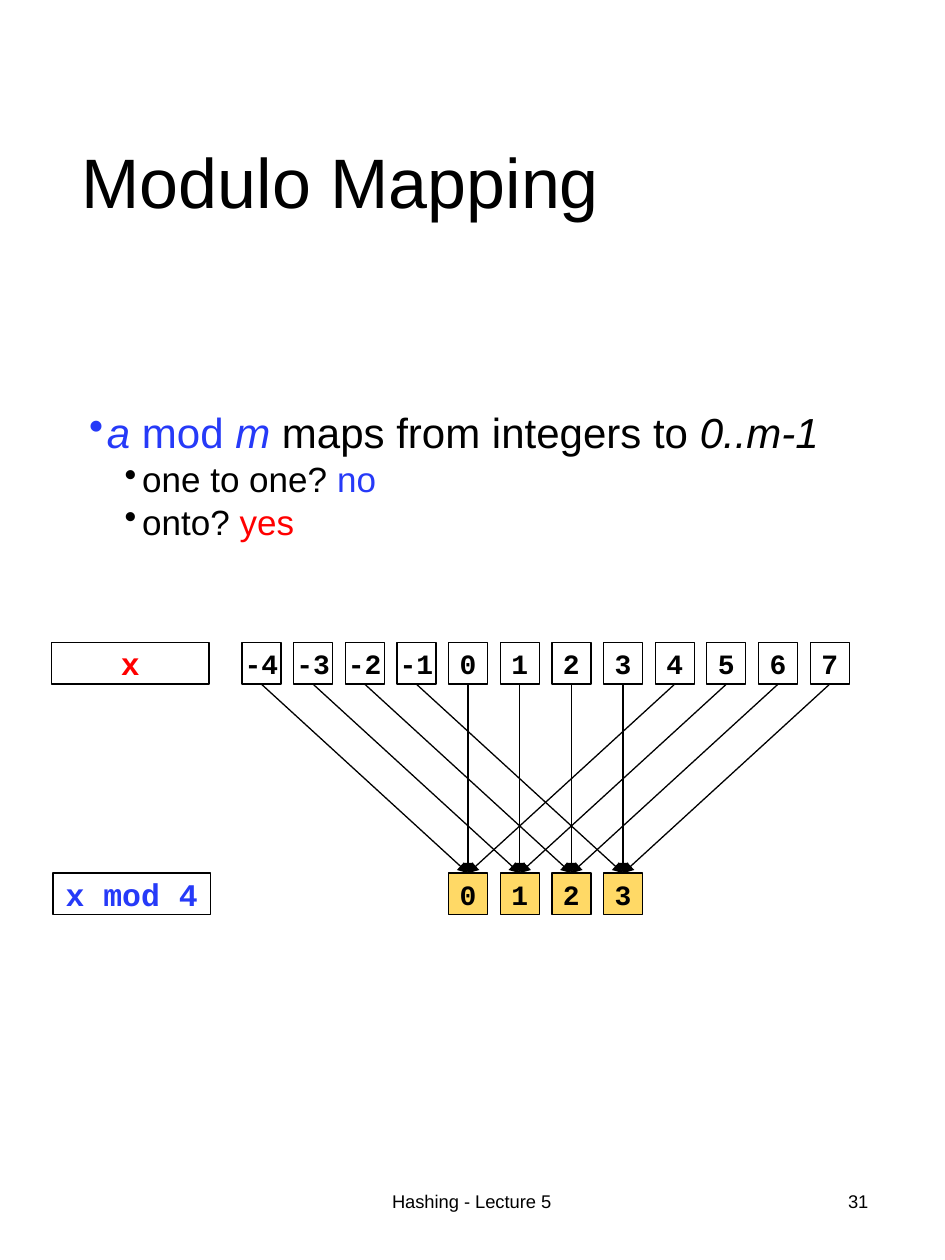
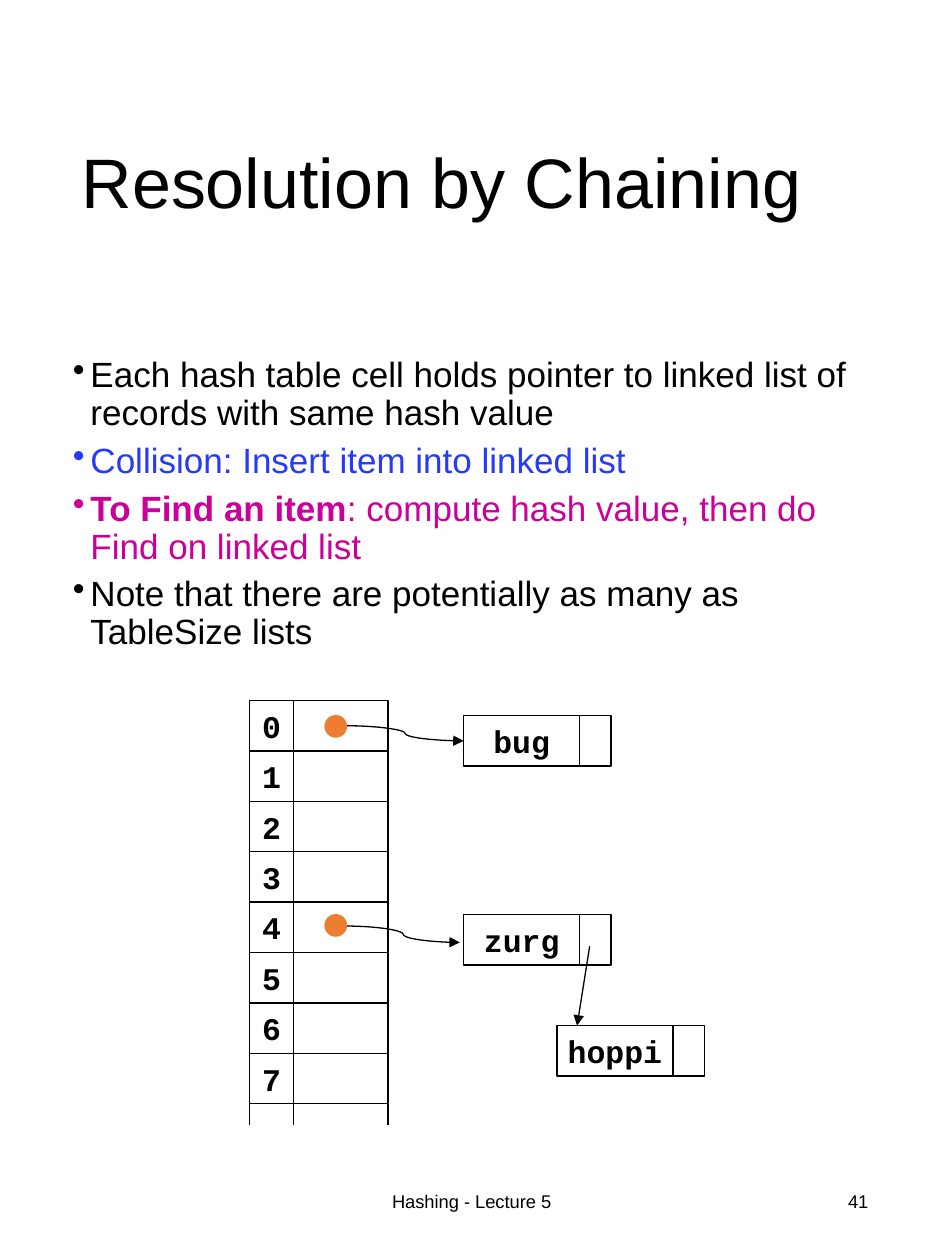
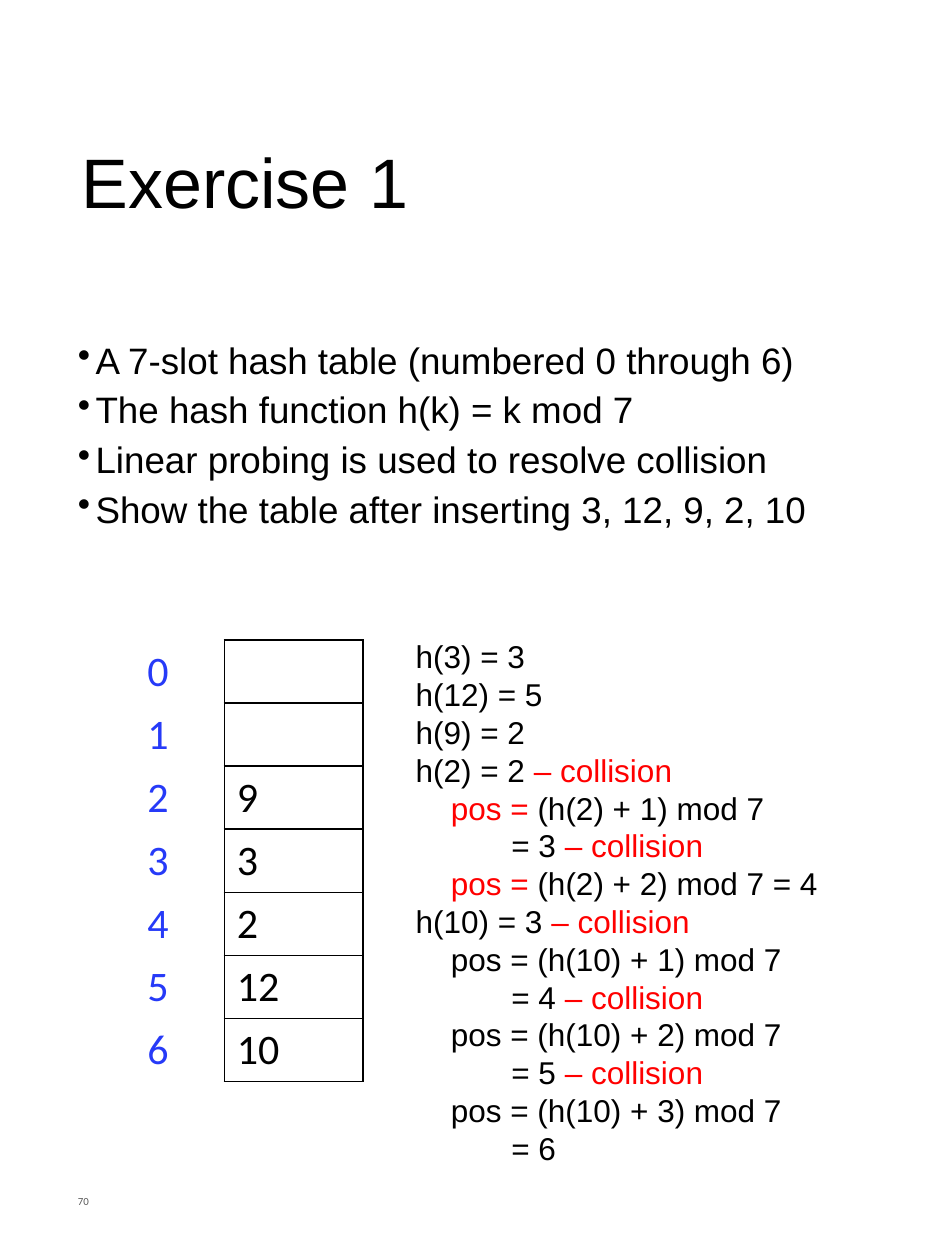
from dataclasses import dataclass

from lxml import etree
from pptx import Presentation
from pptx.dml.color import RGBColor
from pptx.enum.shapes import MSO_CONNECTOR, MSO_SHAPE
from pptx.enum.text import MSO_ANCHOR, MSO_AUTO_SIZE, PP_ALIGN
from pptx.oxml.ns import qn
from pptx.util import Pt

RECT, OVAL = MSO_SHAPE.RECTANGLE, MSO_SHAPE.OVAL
LINE, CURVE = MSO_CONNECTOR.STRAIGHT, MSO_CONNECTOR.CURVE
LEFT, MID, RIGHT = PP_ALIGN.LEFT, PP_ALIGN.CENTER, PP_ALIGN.RIGHT
TOP, CENTER = MSO_ANCHOR.TOP, MSO_ANCHOR.MIDDLE
GROW = MSO_AUTO_SIZE.SHAPE_TO_FIT_TEXT
SCALE = 9144


@dataclass(frozen=True)
class Theme:
    black: RGBColor = RGBColor(0x00, 0x00, 0x00)
    blue: RGBColor = RGBColor(0x26, 0x3A, 0xF8)
    red: RGBColor = RGBColor(0xFF, 0x00, 0x00)
    pink: RGBColor = RGBColor(0xCC, 0x00, 0x99)
    gold: RGBColor = RGBColor(0xFF, 0xD9, 0x66)
    orange: RGBColor = RGBColor(0xED, 0x7D, 0x31)
    gray: RGBColor = RGBColor(0x59, 0x59, 0x59)
    sans: str = "Arial"
    mono: str = "Courier New"
    grid: str = "Calibri"
    title: float = 40
    lead: float = 24
    task: float = 21
    body: float = 20
    note: float = 18
    small: float = 16
    foot: float = 10.5
    tiny: float = 6.2
    rule: float = 0.75


def px(n):
    return int(n * SCALE)


class Deck:
    def __init__(self, theme):
        self.theme = theme
        self.show = Presentation()
        self.show.slide_width, self.show.slide_height = px(750), px(1000)
        self.slide = None

    def page(self, title):
        self.slide = self.show.slides.add_slide(self.show.slide_layouts[6])
        para = self.text((55, 51, 647, 193), title, self.theme.title, anchor=CENTER)
        para.line_spacing = 0.9

    def font(self, run, size, face, color=None, style=""):
        font = run.font
        font.size, font.name = Pt(size), face
        font.color.rgb = color or self.theme.black
        font.bold, font.italic = "b" in style, "i" in style

    def frame(self, box, anchor=TOP):
        frame = self.slide.shapes.add_textbox(*map(px, box)).text_frame
        frame.word_wrap, frame.vertical_anchor = True, anchor
        return frame

    def text(self, box, words, size, align=LEFT, face=None, color=None, anchor=TOP):
        para = self.frame(box, anchor).paragraphs[0]
        para.text, para.alignment = words, align
        self.font(para.runs[0], size, face or self.theme.sans, color)
        return para

    def footer(self, number):
        size = self.theme.foot
        self.text((248, 927, 253, 53), "Hashing - Lecture 5", size, MID, anchor=CENTER)
        self.text((530, 927, 169, 53), number, size, RIGHT, anchor=CENTER)

    def lines(self, frame, rows, size):
        for i, runs in enumerate(rows):
            para = frame.add_paragraph() if i else frame.paragraphs[0]
            for words, *look in runs:
                run = para.add_run()
                run.text = words
                self.font(run, size, self.theme.sans, *look)
            yield para

    def bullets(self, box, rows, size, sub=()):
        frame = self.frame(box)
        paras = list(self.lines(frame, rows, size))
        for i, para in enumerate(paras):
            deep = i in sub
            prop = para._p.get_or_add_pPr()
            prop.set("marL", str(px(42 if deep else 14)))
            prop.set("indent", str(px(-14)))
            etree.SubElement(prop, qn("a:buChar")).set("char", "•")
            para.level, para.line_spacing = int(deep), 0.9
            if i:
                para.space_before = Pt(2.8 if deep else 5.7)
            if deep:
                for run in para.runs:
                    run.font.size = Pt(self.theme.body)

    def steps(self, box, rows):
        frame = self.frame(box)
        frame.auto_size = GROW
        paras = self.lines(frame, [runs for _, runs in rows], self.theme.note)
        for para, (inset, _) in zip(paras, rows):
            para._p.get_or_add_pPr().set("marL", str(px(inset)))

    def shape(self, kind, box, fill=None, edge=None):
        shape = self.slide.shapes.add_shape(kind, *map(px, box))
        shape.shadow.inherit = False
        if fill:
            shape.fill.solid()
            shape.fill.fore_color.rgb = fill
        else:
            shape.fill.background()
        shape.line.color.rgb = edge or self.theme.black
        shape.line.width = Pt(self.theme.rule)
        return shape

    def cell(self, box, words="", size=18, fill=None, color=None):
        shape = self.shape(RECT, box, fill)
        if words:
            frame = shape.text_frame
            frame.text, frame.word_wrap = words, False
            frame.vertical_anchor = CENTER
            para = frame.paragraphs[0]
            para.alignment = MID
            self.font(para.runs[0], size, self.theme.mono, color, "b")
        return shape

    def dot(self, x, y):
        self.shape(OVAL, (x, y, 17, 17), self.theme.orange, self.theme.orange)

    def link(self, start, end, kind=LINE, arrow=True):
        link = self.slide.shapes.add_connector(kind, *map(px, (*start, *end)))
        link.line.color.rgb = self.theme.black
        link.line.width = Pt(self.theme.rule)
        prop = link.element.spPr
        if arrow:
            etree.SubElement(prop.find(qn("a:ln")), qn("a:tailEnd")).set("type", "triangle")
        etree.SubElement(prop, qn("a:effectLst"))
        return link

    def join(self, top, low):
        link = self.link((0, 0), (1, 1))
        link.begin_connect(top, 2)
        link.end_connect(low, 0)

    def border(self, cell, sides):
        prop = cell._tc.get_or_add_tcPr()
        for side in sides:
            line = etree.SubElement(prop, qn("a:ln" + side), w=str(Pt(1)))
            fill = etree.SubElement(line, qn("a:solidFill"))
            etree.SubElement(fill, qn("a:srgbClr")).set("val", str(self.theme.black))

    def table(self, box, widths, rows):
        shape = self.slide.shapes.add_table(len(rows), len(widths), *map(px, box))
        table = shape.table
        table.first_row = table.horz_banding = False
        for col, width in zip(table.columns, widths):
            col.width = px(width)
        looks = ((self.theme.blue, "R"), (self.theme.black, "LRTB"))
        for r, row in enumerate(rows):
            for c, (words, (color, sides)) in enumerate(zip(row, looks)):
                cell = table.cell(r, c)
                self.border(cell, sides)
                cell.fill.background()
                cell.text = words
                for run in cell.text_frame.paragraphs[0].runs:
                    self.font(run, self.theme.lead, self.theme.grid, color)


def modulo(deck):
    t = deck.theme
    deck.page("Modulo Mapping")
    deck.footer("31")
    deck.bullets((61, 322, 638, 144), [
        [("a", t.blue, "i"), (" mod ", t.blue), ("m ", t.blue, "i"),
         ("maps from integers to ",), ("0..m-1", t.black, "i")],
        [("one to one? ",), ("no", t.blue)],
        [("onto? ",), ("yes", t.red)],
    ], t.lead, sub=(1, 2))

    def number(n, y, fill=None):
        return deck.cell((356 + 41 * n, y, 31, 33), str(n), t.small, fill)

    keys = {n: number(n, 510) for n in range(-4, 8)}
    slots = [number(n, 693, t.gold) for n in range(4)]
    deck.cell((41, 510, 125, 33), "x", t.note, color=t.red)
    deck.cell((42, 693, 125, 33), "x mod 4", t.note, color=t.blue)
    for n, key in keys.items():
        deck.join(key, slots[n % 4])


def chaining(deck):
    t = deck.theme
    deck.page("Resolution by Chaining")
    deck.footer("41")
    deck.bullets((48, 279, 657, 417), [
        [("Each hash table cell holds pointer to linked list of records with same hash value",)],
        [("Collision: Insert item into linked list", t.blue)],
        [("To Find an item", t.pink, "b"),
         (": compute hash value, then do Find on linked list", t.pink)],
        [("Note that there are potentially as many as TableSize lists",)],
    ], t.body)

    for n in range(8):
        y = 556 + 40 * n
        deck.cell((198, y, 35, 40), str(n), t.note)
        deck.cell((233, y, 75, 40))
    for x in (198, 233, 308):
        deck.link((x, 876), (x, 893), arrow=False)

    nodes = {}
    for word, x, y in (("bug", 368, 568), ("zurg", 368, 726), ("hoppi", 442, 814)):
        nodes[word] = deck.cell((x, y, 92, 40), word, t.note)
        deck.cell((x + 92, y, 25, 40))
    deck.link((275, 576), (368, 588), CURVE).end_connect(nodes["bug"], 1)
    deck.link((275, 735), (365, 748), CURVE)
    deck.link((468, 751), (458, 814))
    for y in (568, 726):
        deck.dot(258, y)


def exercise(deck):
    t = deck.theme
    deck.page("Exercise 1")
    deck.bullets((52, 267, 647, 634), [
        [("A 7-slot hash table (numbered 0 through 6)",)],
        [("The hash function h(k) = k mod 7",)],
        [("Linear probing is used to resolve collision",)],
        [("Show the table after inserting 3, 12, 9, 2, 10",)],
    ], t.task)
    deck.text((52, 927, 169, 53), "70", t.tiny, face=t.grid, color=t.gray, anchor=CENTER)
    slots = ("", "", "9", "3", "2", "12", "10")
    deck.table((107, 508, 181, 350), (71, 110), [(str(n), key) for n, key in enumerate(slots)])

    clash = ("– collision", t.red)
    probe = ("pos = ", t.red)
    deck.steps((320, 501, 379, 434), [
        (0, [("h(3) = 3",)]),
        (0, [("h(12) = 5",)]),
        (0, [("h(9) = 2",)]),
        (0, [("h(2) = 2 ",), clash]),
        (28, [probe, ("(h(2) + 1) mod 7",)]),
        (76, [("= 3 ",), clash]),
        (28, [probe, ("(h(2) + 2) mod 7 = 4",)]),
        (0, [("h(10) = 3 ",), clash]),
        (28, [("pos = (h(10) + 1) mod 7",)]),
        (76, [("= 4 ",), clash]),
        (28, [("pos = (h(10) + 2) mod 7",)]),
        (76, [("= 5 ",), clash]),
        (28, [("pos = (h(10) + 3) mod 7",)]),
        (76, [("= 6",)]),
    ])


def main():
    deck = Deck(Theme())
    modulo(deck)
    chaining(deck)
    exercise(deck)
    deck.show.save("out.pptx")


if __name__ == "__main__":
    main()
